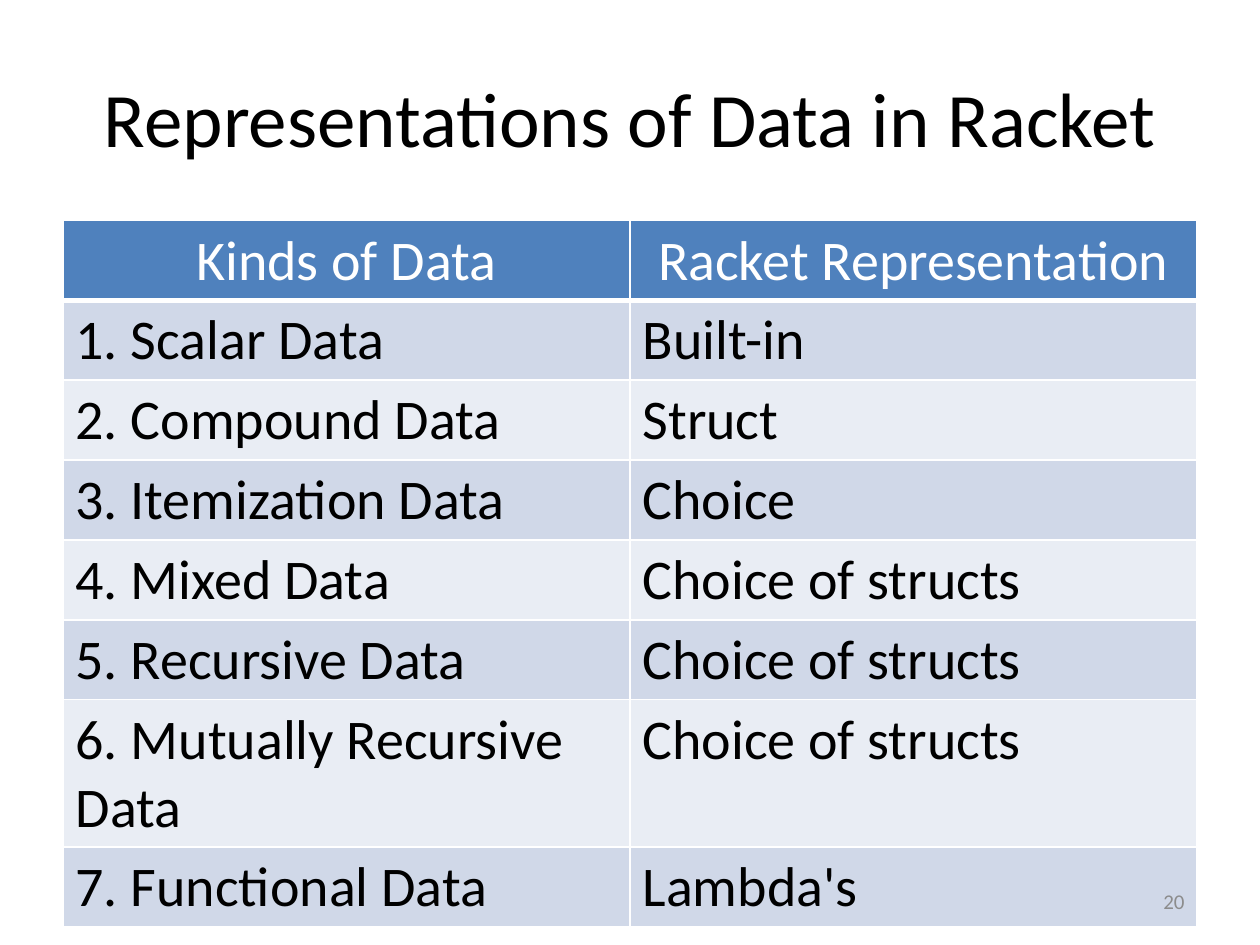
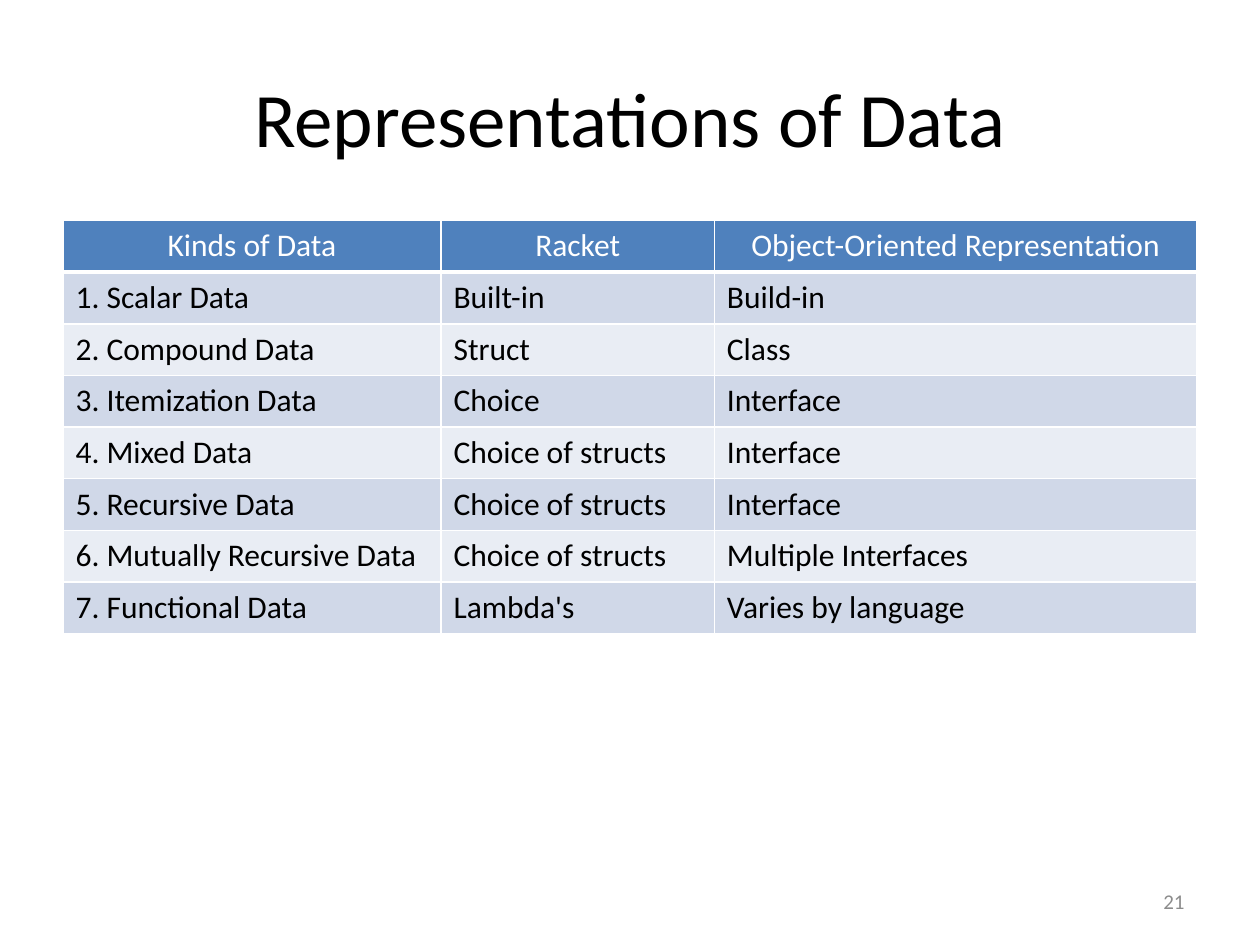
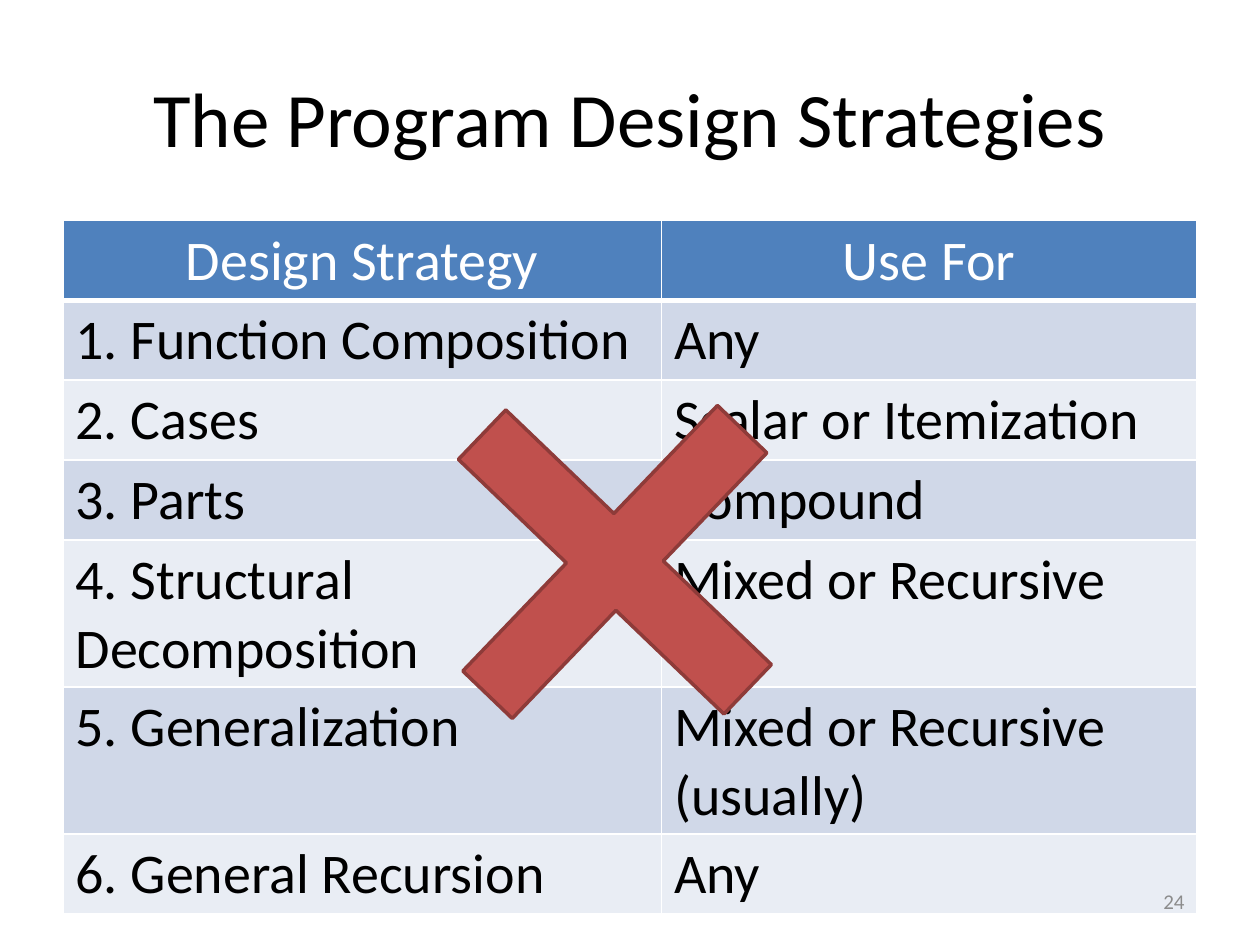
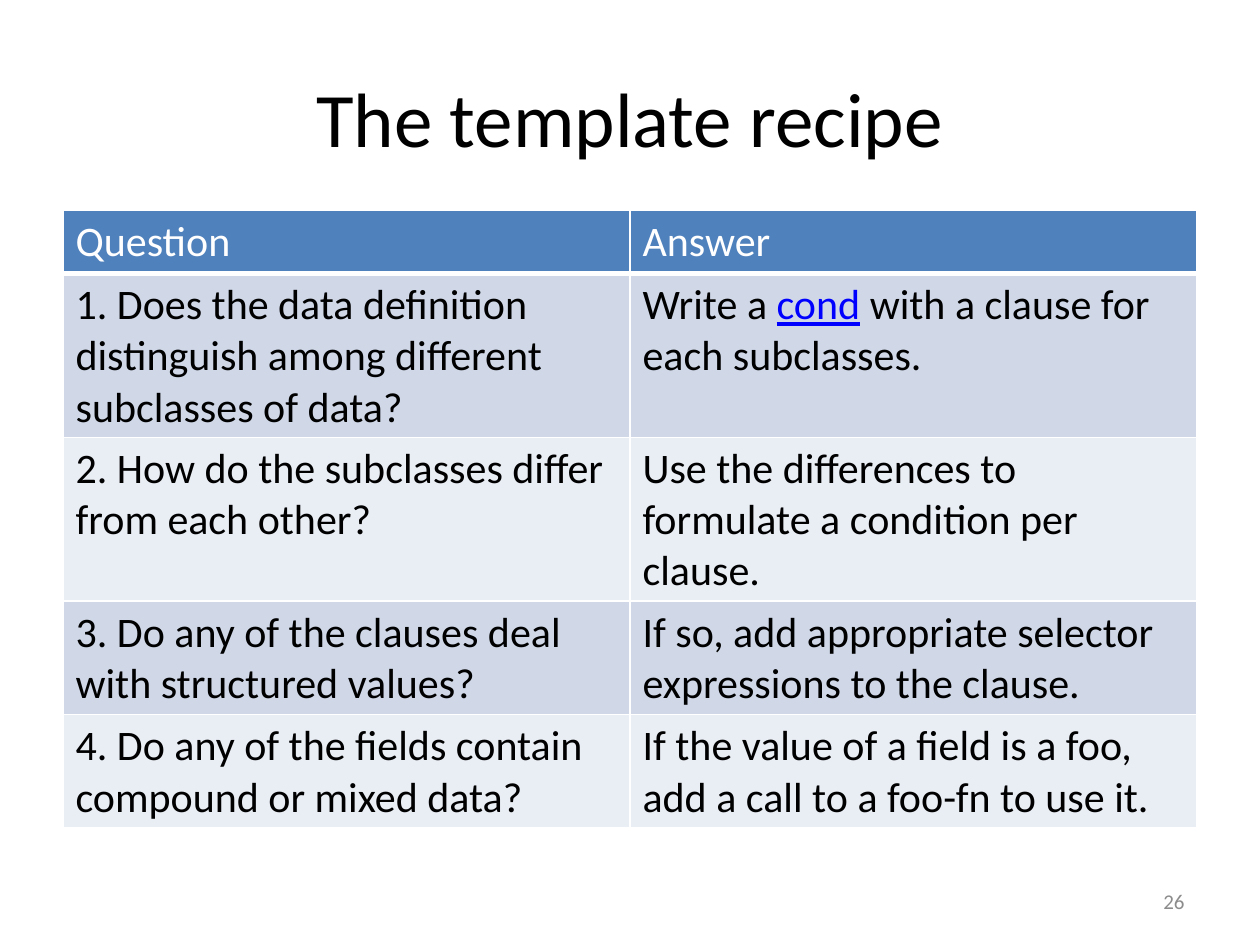
"""Build four slides of tables on data representations and program design."""
import pptx
import pptx.dml.color
import pptx.enum.shapes
import pptx.enum.text
import pptx.oxml
import pptx.oxml.ns
import pptx.util

Inches = pptx.util.Inches
Pt = pptx.util.Pt
ALIGN = pptx.enum.text.PP_ALIGN

COLORS = {
    "background": "FFFFFF",
    "text": "000000",
    "header": "4F81BD",
    "header_text": "FFFFFF",
    "odd_row": "D0D8E8",
    "even_row": "E9EDF4",
    "border": "FFFFFF",
    "number": "8C8C8C",
    "keyword": "0000FF",
    "cross": "C0504D",
    "cross_edge": "8E3B39",
}
ROW_HEIGHT = 0.41
KEYWORD = {"color": "keyword", "underline": True}

KINDS = ["Scalar Data", "Compound Data", "Itemization Data", "Mixed Data",
         "Recursive Data", "Mutually Recursive Data", "Functional Data"]
RACKET = ["Built-in", "Struct", "Choice", "Choice of structs",
          "Choice of structs", "Choice of structs", "Lambda's"]
OBJECTS = ["Build-in", "Class", "Interface", "Interface", "Interface",
           "Multiple Interfaces", "Varies by language"]
STRATEGIES = ["Function Composition", "Cases", "Parts",
              "Structural Decomposition", "Generalization", "General Recursion"]
USES = ["Any", "Scalar or Itemization", "Compound", "Mixed or Recursive",
        "Mixed or Recursive (usually)", "Any"]
QUESTIONS = [
    "Does the data definition distinguish among different subclasses of data?",
    "How do the subclasses differ from each other?",
    "Do any of the clauses deal with structured values?",
    "Do any of the fields contain compound or mixed data?",
]
ANSWERS = [
    [("Write a ", {}), ("cond", KEYWORD), (" with a clause for each subclasses.", {})],
    "Use the differences to formulate a condition per clause.",
    "If so, add appropriate selector expressions to the clause.",
    "If the value of a field is a foo, add a call to a foo-fn to use it.",
]

SLIDES = [
    {"title": "Representations of Data in Racket", "number": 20, "size": 32,
     "widths": [4.5, 4.5], "headers": ["Kinds of Data", "Racket Representation"],
     "columns": [KINDS, RACKET]},
    {"title": "Representations of Data", "number": 21, "size": 18,
     "widths": [3, 2.17, 3.83],
     "headers": ["Kinds of Data", "Racket", "Object-Oriented Representation"],
     "columns": [KINDS, RACKET, OBJECTS]},
    {"title": "The Program Design Strategies", "number": 24, "size": 32,
     "widths": [4.75, 4.25], "headers": ["Design Strategy", "Use For"],
     "columns": [STRATEGIES, USES], "crossed_out": True},
    {"title": "The template recipe", "number": 26, "size": 24, "top": 1.67,
     "widths": [4.5, 4.5], "headers": ["Question", "Answer"],
     "columns": [QUESTIONS, ANSWERS], "header_align": ALIGN.LEFT},
]


def rgb(name):
    return pptx.dml.color.RGBColor.from_string(COLORS[name])


def paint(fill, name):
    fill.solid()
    fill.fore_color.rgb = rgb(name)


def write(frame, content, size, color, align):
    paragraph = frame.paragraphs[0]
    paragraph.alignment = align
    runs = [(content, {})] if isinstance(content, str) else content
    for words, changes in runs:
        run = paragraph.add_run()
        run.text = words
        formats = {"name": "Calibri", "size": Pt(size), "color": color, **changes}
        run.font.color.rgb = rgb(formats.pop("color"))
        for attribute, value in formats.items():
            setattr(run.font, attribute, value)


def add_label(slide, box, content, size, color, align):
    frame = slide.shapes.add_textbox(*map(Inches, box)).text_frame
    frame.word_wrap = True
    frame.vertical_anchor = pptx.enum.text.MSO_ANCHOR.MIDDLE
    write(frame, content, size, color, align)


def add_borders(cell, bottom):
    properties = cell._tc.get_or_add_tcPr()
    for side, width in {"L": 1, "R": 1, "T": 1, "B": bottom}.items():
        properties.append(pptx.oxml.parse_xml(
            f'<a:ln{side} {pptx.oxml.ns.nsdecls("a")} w="{Pt(width)}"><a:solidFill>'
            f'<a:srgbClr val="{COLORS["border"]}"/></a:solidFill></a:ln{side}>'))


def add_grid(slide, content):
    first, *others = content["columns"]
    numbered = [f"{number}. {item}" for number, item in enumerate(first, 1)]
    rows = [content["headers"], *zip(numbered, *others)]
    widths = content["widths"]
    grid = slide.shapes.add_table(
        len(rows), len(widths), Inches(0.5), Inches(content.get("top", 1.75)),
        Inches(sum(widths)), Inches(ROW_HEIGHT * len(rows))).table
    grid.first_row = grid.horz_banding = False
    for column, width in zip(grid.columns, widths):
        column.width = Inches(width)
    for index, items in enumerate(rows):
        grid.rows[index].height = Inches(ROW_HEIGHT)
        if index == 0:
            fill, color, bottom = "header", "header_text", 3
            align = content.get("header_align", ALIGN.CENTER)
        else:
            fill = "odd_row" if index % 2 else "even_row"
            color, bottom, align = "text", 1, ALIGN.LEFT
        for cell, item in zip(grid.rows[index].cells, items):
            add_borders(cell, bottom)
            paint(cell.fill, fill)
            write(cell.text_frame, item, content["size"], color, align)


def add_cross(slide):
    cross = slide.shapes.add_shape(
        pptx.enum.shapes.MSO_SHAPE.CROSS, *map(Inches, (3.42, 3, 2.92, 2.92)))
    cross.adjustments[0] = 0.407
    cross.rotation = 43.8
    cross.shadow.inherit = False
    paint(cross.fill, "cross")
    paint(cross.line.fill, "cross_edge")
    cross.line.width = Pt(2)


def add_slide(deck, content):
    slide = deck.slides.add_slide(deck.slide_layouts[6])
    paint(slide.background.fill, "background")
    add_label(slide, (0.5, 0.3, 9, 1.25), content["title"], 44, "text", ALIGN.CENTER)
    add_grid(slide, content)
    add_label(slide, (7.17, 6.95, 2.33, 0.4), str(content["number"]), 12,
              "number", ALIGN.RIGHT)
    if content.get("crossed_out"):
        add_cross(slide)


def main():
    deck = pptx.Presentation()
    deck.slide_width, deck.slide_height = Inches(10), Inches(7.5)
    for content in SLIDES:
        add_slide(deck, content)
    deck.save("out.pptx")


main()
